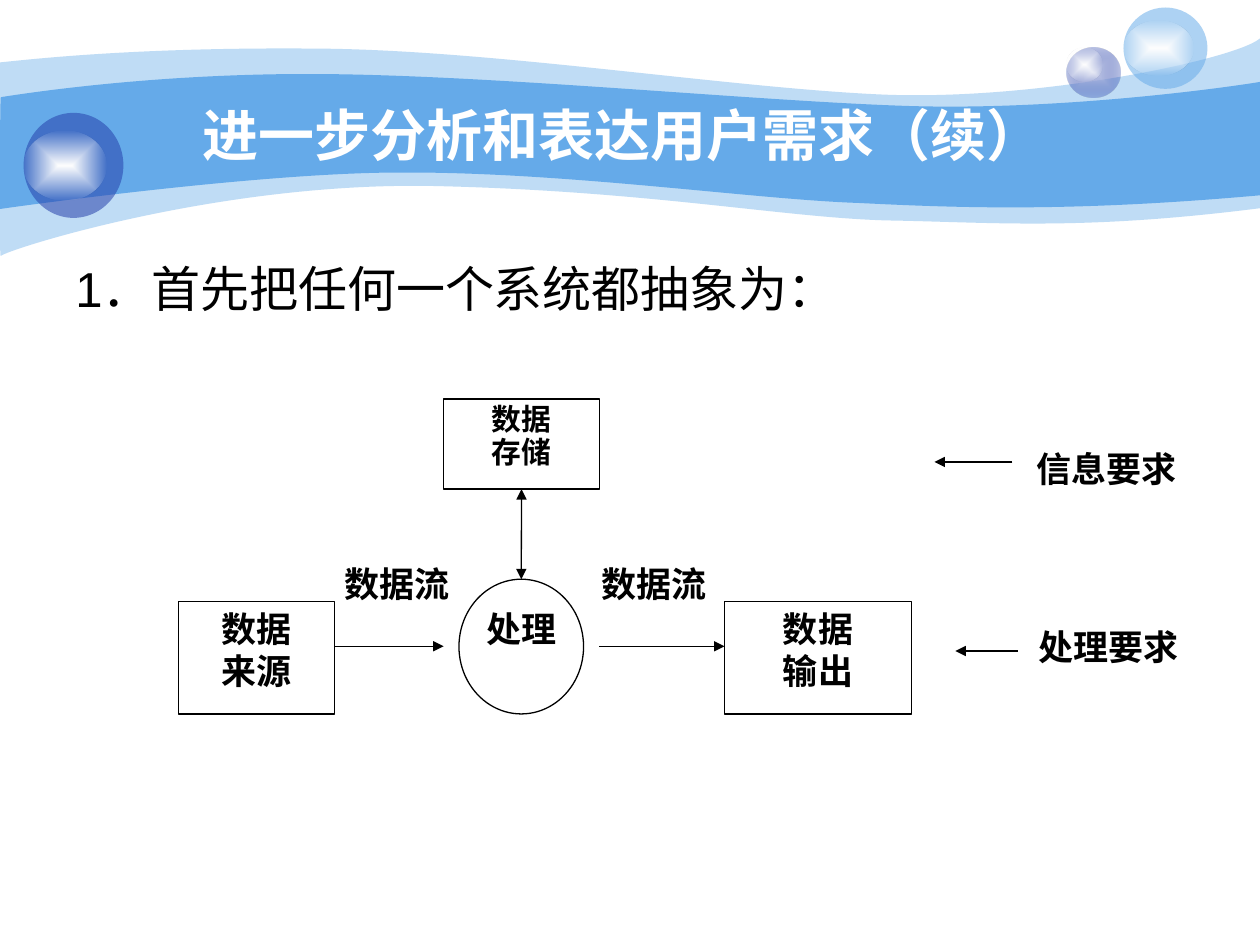
from dataclasses import dataclass

import pptx
import pptx.dml.color
import pptx.enum.shapes
import pptx.enum.text
import pptx.oxml
import pptx.oxml.ns
import pptx.util
from lxml import etree

Pt = pptx.util.Pt
Kind = pptx.enum.shapes.MSO_SHAPE
Align = pptx.enum.text.PP_ALIGN
Anchor = pptx.enum.text.MSO_ANCHOR
qn = pptx.oxml.ns.qn

COLORS = {"sky": "65AAE9", "navy": "233DA9", "pale": "C7CEE9",
          "white": "FFFFFF", "black": "000000"}


@dataclass
class Band:
    top: list  # chained cubic curves: point, control, control, point, ...
    low: list  # ends with the curve back to the start
    alpha: int


@dataclass
class Ball:
    box: tuple
    gloss: tuple
    stops: list  # (color, opacity in percent)


@dataclass
class Node:
    text: str
    box: tuple
    kind: object = None  # no kind means a bare label
    size: float = 20
    space: float = 1.0


@dataclass
class Arrow:
    start: tuple
    end: tuple
    ends: tuple = ("tailEnd",)


BANDS = [
    Band([(0, 35.7), (17, 34), (77, 27), (178, 27.8), (278, 28), (414, 50),
          (503, 54), (592, 58), (706, 34), (720, 22)],
         [(720, 119), (618, 132), (567, 127), (507.5, 126), (448, 124.5), (371, 109),
          (247, 106.3), (124, 104), (3, 143), (0.5, 146.3),
          (-0.5, 150), (0, 54), (0, 35.7)], 41),
    Band([(0.5, 55.5), (1.5, 55.5), (79, 42), (178.5, 42.3), (278, 42.5), (428, 57.5),
          (517, 60.5), (605.5, 63.5), (703, 49.7), (720, 46.8)],
         [(720, 111.6), (614, 121), (551, 119), (491, 116), (431, 114), (322, 98),
          (228, 98.6), (146, 98.6), (-1.5, 119.5), (-0.5, 119.5),
          (0, 119.5), (0, 55.5), (0.5, 55.5)], 100),
]
BALLS = [
    Ball((609.5, 27, 31, 29), (609.5, 27, 20.5, 19.5), [("pale", 100), ("navy", 31)]),
    Ball((642, 4.3, 48, 46.5), (642, 12, 40, 31), [("sky", 53)]),
    Ball((13.5, 64.5, 57, 60), (13.5, 74.5, 47.5, 40), [("navy", 53)]),
]
STORE = Node("数据\n存储", (253.5, 228, 89, 51.5), Kind.RECTANGLE, 17, 0.9)
PROC = Node("", (262.3, 331, 71.2, 77), Kind.OVAL)
NODES = [
    Node("数据\n来源", (102, 343.75, 89, 64.3), Kind.RECTANGLE),
    Node("数据\n输出", (414, 343.75, 106.9, 64.3), Kind.RECTANGLE),
    Node("数据流", (191, 318, 71.5, 51)),
    Node("数据流", (333.7, 318, 80, 51)),
    Node("处理", (271.5, 343.75, 53, 38)),
    Node("信息要求", (587.7, 252, 89.3, 52.5)),
    Node("处理要求", (588.8, 354, 89.3, 41)),
]
ARROWS = [
    Arrow((191, 369.3), (253.5, 369.3)),
    Arrow((342.5, 369.3), (414, 369.3)),
    Arrow((578.5, 264), (534, 264)),
    Arrow((581.5, 372), (546, 372)),
]


def rgb(name: str):
    return pptx.dml.color.RGBColor.from_string(COLORS[name])


def place(box: tuple) -> list:
    return [Pt(v) for v in box]


def bend(lines: list) -> None:
    """Turn each three line segments into one cubic curve."""
    for i in range(0, len(lines), 3):
        cubic = etree.Element(qn("a:cubicBezTo"))
        lines[i].addprevious(cubic)
        for line in lines[i:i + 3]:
            cubic.append(line[0])
            line.getparent().remove(line)


def paint(shape, stops: list) -> None:
    """Fill with one color, or with a gradient from the centre outwards."""
    shape.shadow.inherit = False
    shape.line.fill.background()
    if len(stops) == 1:
        name, alpha = stops[0]
        shape.fill.solid()
        shape.fill.fore_color.rgb = rgb(name)
        if alpha < 100:
            tint = shape.element.spPr.find(".//" + qn("a:srgbClr"))
            etree.SubElement(tint, qn("a:alpha"), val=str(alpha * 1000))
        return
    marks = "".join(
        f'<a:gs pos="{i * 100000}"><a:srgbClr val="{COLORS[name]}">'
        f'<a:alpha val="{alpha * 1000}"/></a:srgbClr></a:gs>'
        for i, (name, alpha) in enumerate(stops))
    grad = pptx.oxml.parse_xml(
        f'<a:gradFill {pptx.oxml.ns.nsdecls("a")}><a:gsLst>{marks}</a:gsLst>'
        '<a:path path="rect"><a:fillToRect l="50000" t="50000" r="50000" b="50000"/>'
        '</a:path></a:gradFill>')
    shape.element.spPr.find(qn("a:prstGeom")).addnext(grad)


def style(par, size: float, font: str, color: str, bold: bool) -> None:
    par.font.size = Pt(size)
    par.font.name = font
    par.font.bold = bold
    par.font.color.rgb = rgb(color)


def draw_band(slide, band: Band) -> None:
    pts = [(Pt(x), Pt(y)) for x, y in band.top + band.low]
    form = slide.shapes.build_freeform(*pts[0])
    form.add_line_segments(pts[1:], close=True)
    shape = form.convert_to_shape()
    lines = list(shape.element.spPr.iter(qn("a:lnTo")))
    side = len(band.top)  # the line down the right side stays straight
    bend(lines[:side - 1])
    bend(lines[side:side + len(band.low) - 1])
    paint(shape, [("sky", band.alpha)])


def draw_ball(slide, ball: Ball) -> None:
    shine = [("white", 100), ("white", 0)]
    for box, stops in ((ball.box, ball.stops), (ball.gloss, shine)):
        paint(slide.shapes.add_shape(Kind.OVAL, *place(box)), stops)


def draw_node(slide, node: Node):
    if node.kind is None:
        shape = slide.shapes.add_textbox(*place(node.box))
    else:
        shape = slide.shapes.add_shape(node.kind, *place(node.box))
        shape.shadow.inherit = False
        shape.fill.background()
        shape.line.color.rgb = rgb("black")
        shape.line.width = Pt(0.75)
    if node.text:
        frame = shape.text_frame
        frame.word_wrap = True
        frame.vertical_anchor = Anchor.TOP
        frame.margin_left = frame.margin_right = 0
        frame.text = node.text
        for par in frame.paragraphs:
            par.alignment = Align.CENTER
            par.line_spacing = node.space
            style(par, node.size, "Times New Roman", "black", True)
    return shape


def draw_arrow(slide, arrow: Arrow):
    line = slide.shapes.add_connector(
        pptx.enum.shapes.MSO_CONNECTOR.STRAIGHT, *place(arrow.start + arrow.end))
    line.line.color.rgb = rgb("black")
    line.line.width = Pt(0.75)
    props = line.element.spPr
    for end in arrow.ends:
        etree.SubElement(props.find(qn("a:ln")), qn("a:" + end), type="triangle")
    etree.SubElement(props, qn("a:effectLst"))
    return line


def main() -> None:
    deck = pptx.Presentation()
    deck.slide_width, deck.slide_height = Pt(720), Pt(540)
    slide = deck.slides.add_slide(deck.slide_layouts[5])

    # Wavy banner and glass balls
    for band in BANDS:
        draw_band(slide, band)
    for ball in BALLS:
        draw_ball(slide, ball)

    # Title, raised above the banner
    title = slide.shapes.title
    title.left, title.top, title.width, title.height = place((65, 54, 582, 45))
    title.text_frame.text = "进一步分析和表达用户需求（续）"
    title.text_frame.vertical_anchor = Anchor.MIDDLE
    title.text_frame.paragraphs[0].alignment = Align.CENTER
    style(title.text_frame.paragraphs[0], 32, "Arial", "white", True)
    title.element.getparent().append(title.element)

    # Lead sentence
    lead = slide.shapes.add_textbox(*place((36, 144, 648, 354))).text_frame
    lead.word_wrap = True
    lead.text = "1．首先把任何一个系统都抽象为："
    lead.paragraphs[0].space_before = Pt(7)
    style(lead.paragraphs[0], 28, "Arial", "black", False)

    # Data flow diagram
    store, proc = draw_node(slide, STORE), draw_node(slide, PROC)
    for node in NODES:
        draw_node(slide, node)
    for arrow in ARROWS:
        draw_arrow(slide, arrow)
    link = draw_arrow(slide, Arrow((298, 279.5), (298, 331), ("headEnd", "tailEnd")))
    link.begin_connect(store, 2)
    link.end_connect(proc, 0)

    deck.save("out.pptx")


if __name__ == "__main__":
    main()
